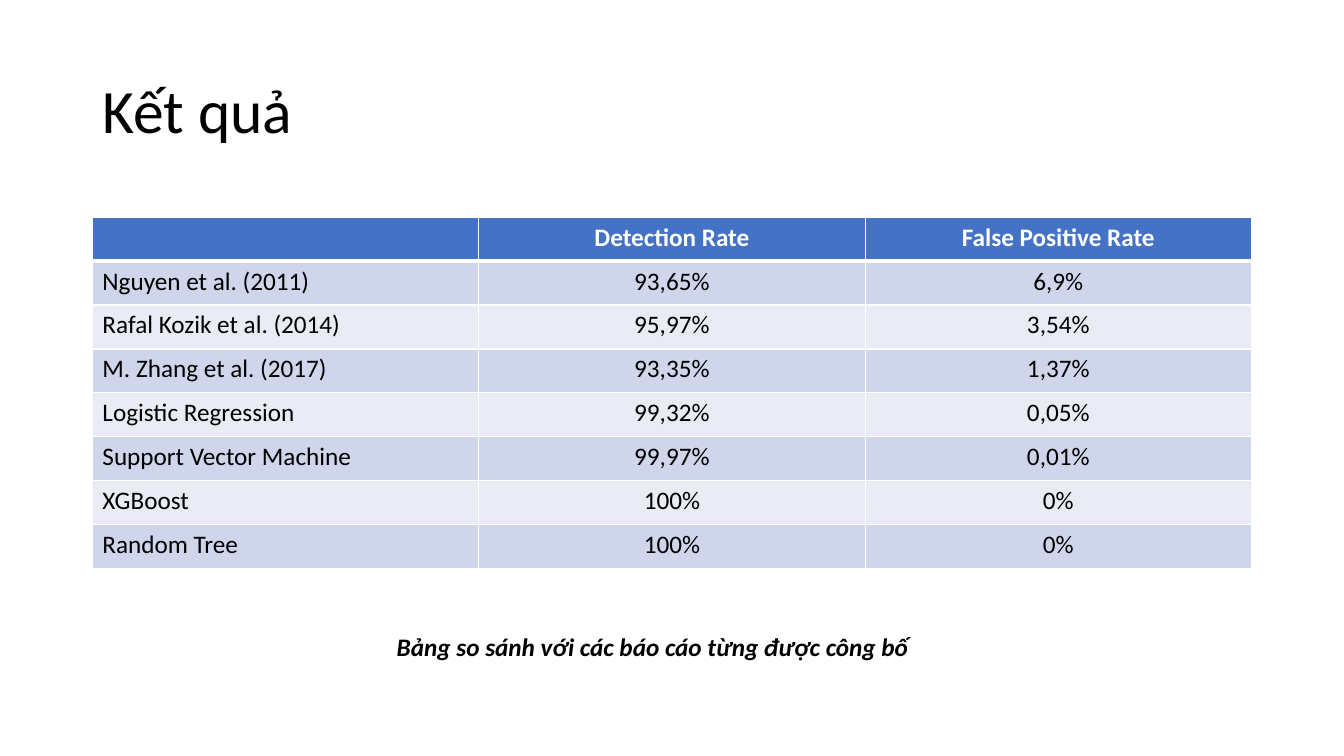
"""Build the results slide comparing detection methods."""
from lxml import etree
from pptx import Presentation
from pptx.dml.color import RGBColor
from pptx.enum.text import MSO_ANCHOR, MSO_AUTO_SIZE, PP_ALIGN
from pptx.oxml.ns import qn
from pptx.util import Pt

LEFT, CENTER = PP_ALIGN.LEFT, PP_ALIGN.CENTER
MIDDLE, TOP = MSO_ANCHOR.MIDDLE, MSO_ANCHOR.TOP
GROW = MSO_AUTO_SIZE.SHAPE_TO_FIT_TEXT

TITLE = "Kết quả"
CAPTION = "Bảng so sánh với các báo cáo từng được công bố"
ROWS = [
    ("", "Detection Rate", "False Positive Rate"),
    ("Nguyen et al. (2011)", "93,65%", "6,9%"),
    ("Rafal Kozik et al. (2014)", "95,97%", "3,54%"),
    ("M. Zhang et al. (2017)", "93,35%", "1,37%"),
    ("Logistic Regression", "99,32%", "0,05%"),
    ("Support Vector Machine", "99,97%", "0,01%"),
    ("XGBoost", "100%", "0%"),
    ("Random Tree", "100%", "0%"),
]

THEME = {
    "font": "Calibri", "title_size": 44, "body_size": 18,
    "text": "000000", "header_text": "FFFFFF", "header": "4472C4",
    "bands": ("E9EBF5", "CFD5EA"), "border": "FFFFFF",
}
SLIDE_SIZE = (960, 540)
TITLE_BOX = (66, 28.75, 828, 104.4)
TABLE_BOX = (66, 155, 828, 251.4)
CAPTION_BOX = (276.3, 447.1, 381.8, 29.1)
THIN, THICK = 1, 3


def style(paragraph, size, color, bold=False, italic=False):
    for run in paragraph.runs:
        font = run.font
        font.name, font.size = THEME["font"], Pt(size)
        font.bold, font.italic = bold, italic
        font.color.rgb = RGBColor.from_string(color)


def add_text(slide, box, text, size, anchor=TOP, wrap=True, **emphasis):
    shape = slide.shapes.add_textbox(*map(Pt, box))
    frame = shape.text_frame
    frame.text = text
    frame.word_wrap, frame.vertical_anchor = wrap, anchor
    style(frame.paragraphs[0], size, THEME["text"], **emphasis)
    return frame


def add_borders(cell, top, bottom):
    properties = cell._tc.get_or_add_tcPr()
    for side, width in (("L", THIN), ("R", THIN), ("T", top), ("B", bottom)):
        line = etree.SubElement(properties, qn(f"a:ln{side}"), w=str(Pt(width)))
        fill = etree.SubElement(line, qn("a:solidFill"))
        etree.SubElement(fill, qn("a:srgbClr"), val=THEME["border"])


def add_results(slide):
    table = slide.shapes.add_table(len(ROWS), len(ROWS[0]), *map(Pt, TABLE_BOX)).table
    for column in table.columns:
        column.width = Pt(TABLE_BOX[2] / len(ROWS[0]))
    for row_index, values in enumerate(ROWS):
        header = row_index == 0
        table.rows[row_index].height = Pt(TABLE_BOX[3] / len(ROWS))
        background = THEME["header"] if header else THEME["bands"][row_index % 2]
        color = THEME["header_text"] if header else THEME["text"]
        for column_index, value in enumerate(values):
            cell = table.cell(row_index, column_index)
            add_borders(cell, THICK if row_index == 1 else THIN, THICK if header else THIN)
            cell.fill.solid()
            cell.fill.fore_color.rgb = RGBColor.from_string(background)
            cell.text_frame.text = value
            paragraph = cell.text_frame.paragraphs[0]
            paragraph.alignment = CENTER if column_index else LEFT
            style(paragraph, THEME["body_size"], color, bold=header)


def main():
    presentation = Presentation()
    presentation.slide_width, presentation.slide_height = map(Pt, SLIDE_SIZE)
    slide = presentation.slides.add_slide(presentation.slide_layouts[6])
    title = add_text(slide, TITLE_BOX, TITLE, THEME["title_size"], anchor=MIDDLE)
    title.paragraphs[0].line_spacing = 0.9
    add_results(slide)
    caption = add_text(slide, CAPTION_BOX, CAPTION, THEME["body_size"],
                       wrap=False, bold=True, italic=True)
    caption.auto_size = GROW
    presentation.save("out.pptx")


if __name__ == "__main__":
    main()
